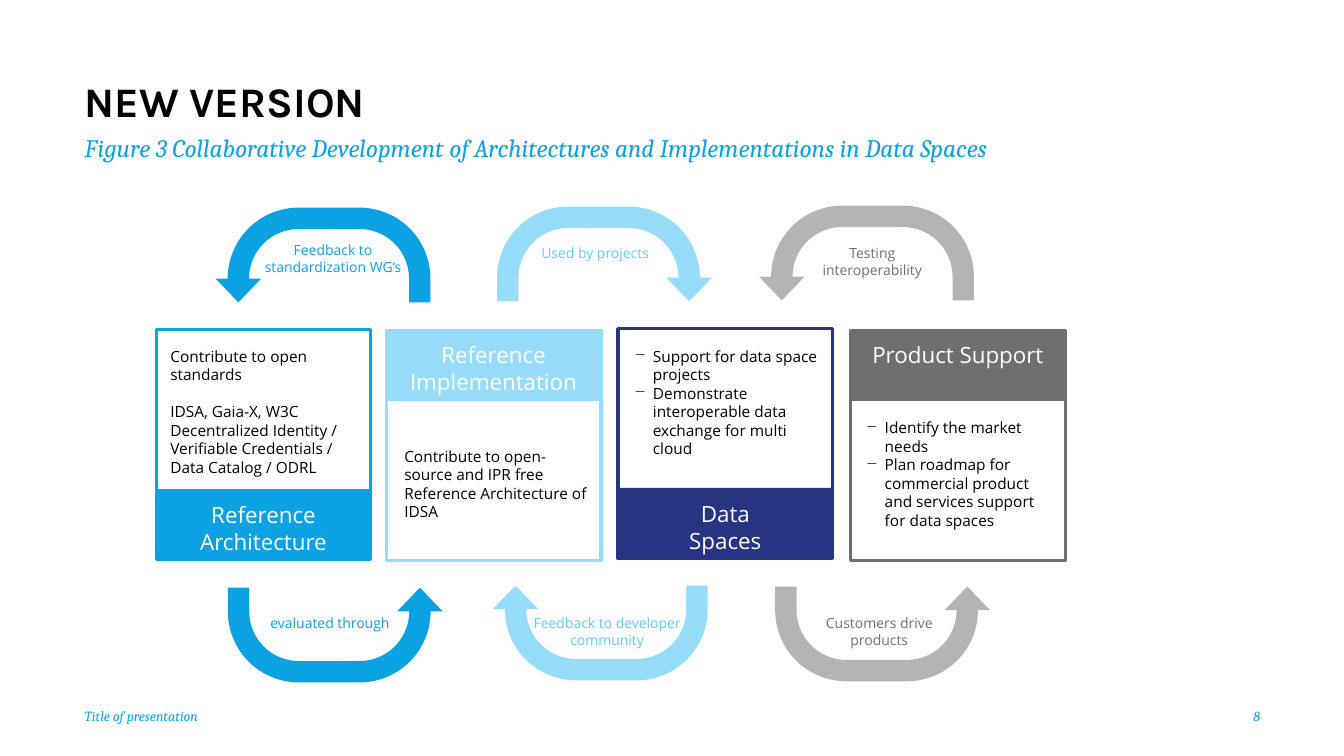
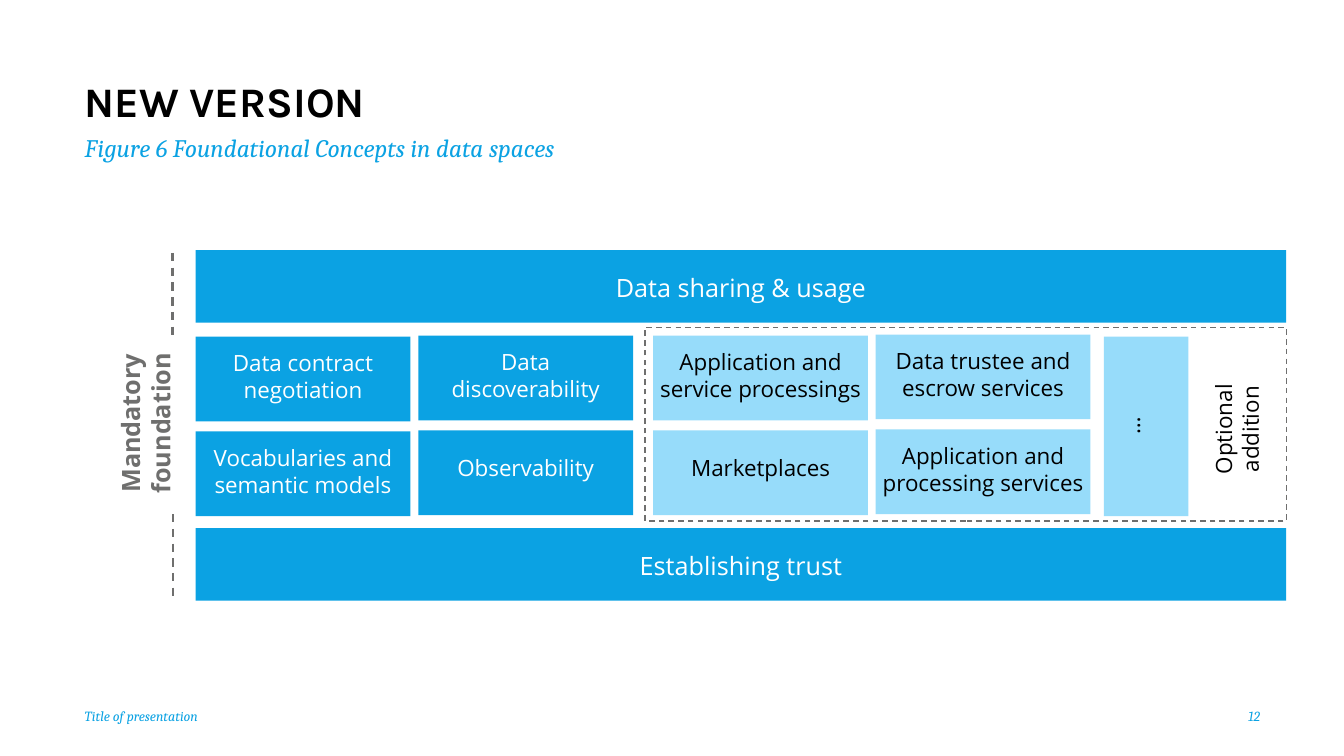
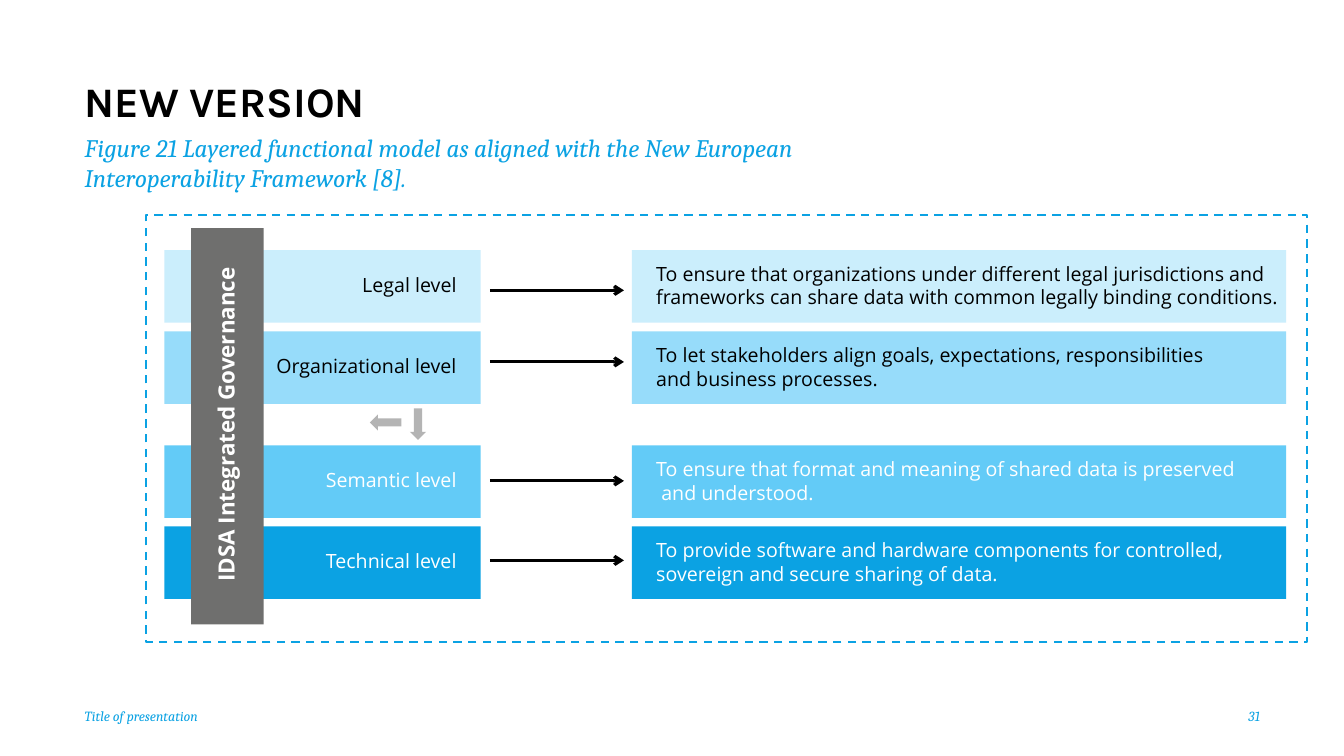
from lxml import etree
from pptx import Presentation
from pptx.dml.color import RGBColor
from pptx.enum.dml import MSO_LINE
from pptx.enum.shapes import MSO_CONNECTOR, MSO_SHAPE
from pptx.enum.text import MSO_ANCHOR, PP_ALIGN
from pptx.oxml.ns import qn
from pptx.util import Pt

RECT, UTURN, ARROW = MSO_SHAPE.RECTANGLE, MSO_SHAPE.U_TURN_ARROW, MSO_SHAPE.RIGHT_ARROW
LEFT, MID, RIGHT = PP_ALIGN.LEFT, PP_ALIGN.CENTER, PP_ALIGN.RIGHT
TOP, CENTER, BOTTOM = MSO_ANCHOR.TOP, MSO_ANCHOR.MIDDLE, MSO_ANCHOR.BOTTOM
STRAIGHT, DASH = MSO_CONNECTOR.STRAIGHT, MSO_LINE.DASH

HUES = {
    "blue": "0BA2E3", "sky": "63CBF7", "light": "97DCFA", "pale": "CBEEFC",
    "navy": "263482", "dark": "6F6F6E", "gray": "B4B4B4",
    "black": "000000", "white": "FFFFFF",
}
SANS = {"name": "Open Sans"}
STYLES = {
    "title": {"name": "Karla", "size": Pt(30), "bold": True},
    "lead": {"name": "Cambria", "size": Pt(18), "italic": True},
    "foot": {"name": "Cambria", "size": Pt(10), "italic": True},
    "note": {**SANS, "size": Pt(10)},
    "body": {**SANS, "size": Pt(11)},
    "level": {**SANS, "size": Pt(14)},
    "head": {**SANS, "size": Pt(16)},
    "spine": {**SANS, "size": Pt(16), "bold": True},
    "bar": {**SANS, "size": Pt(18)},
    "side": {**SANS, "size": Pt(18), "bold": True},
}


def hue(name):
    return RGBColor.from_string(HUES[name])


def points(box):
    return [Pt(v) for v in box]


def bullet(para):
    props = para._p.get_or_add_pPr()
    props.set("marL", str(Pt(13.5)))
    props.set("indent", str(-Pt(13.5)))
    etree.SubElement(props, qn("a:buChar")).set("char", "−")


def text(slide, box, lines, style, color, align=LEFT, anchor=TOP,
         turn=0, foot=0, gap=0, dashed=False, pitch=None):
    """Place one paragraph per line; gap is the space between paragraphs."""
    shape = slide.shapes.add_textbox(*points(box))
    shape.rotation = turn
    frame = shape.text_frame
    layout = {"word_wrap": True, "vertical_anchor": anchor, "margin_left": 0,
              "margin_top": 0, "margin_right": 0, "margin_bottom": Pt(foot)}
    for key, value in layout.items():
        setattr(frame, key, value)
    for i, line in enumerate(lines):
        para = frame.add_paragraph() if i else frame.paragraphs[0]
        para.alignment = align
        if pitch:
            para.line_spacing = pitch
        if i and gap:
            para.space_before = Pt(gap)
        if dashed:
            bullet(para)
        run = para.add_run()
        run.text = line
        for key, value in STYLES[style].items():
            setattr(run.font, key, value)
        run.font.color.rgb = hue(color)


def solid(slide, box, color, kind=RECT, turn=0):
    shape = slide.shapes.add_shape(kind, *points(box))
    shape.shadow.inherit = False
    shape.rotation = turn
    shape.fill.solid()
    shape.fill.fore_color.rgb = hue(color)
    shape.line.fill.background()
    return shape


def outline(slide, box, color, width, dash=None):
    shape = slide.shapes.add_shape(RECT, *points(box))
    shape.shadow.inherit = False
    shape.fill.background()
    shape.line.color.rgb = hue(color)
    shape.line.width = Pt(width)
    if dash:
        shape.line.dash_style = dash


def rule(slide, ends, color, width, dash=None, tip=False):
    line = slide.shapes.add_connector(STRAIGHT, *points(ends))
    line.line.color.rgb = hue(color)
    line.line.width = Pt(width)
    if dash:
        line.line.dash_style = dash
    if tip:
        etree.SubElement(line.line._ln, qn("a:tailEnd")).set("type", "arrow")
    etree.SubElement(line._element.spPr, qn("a:effectLst"))


def page(deck, number, lead, width=623.5):
    """Add a slide with the shared title, lead line and footer."""
    slide = deck.slides.add_slide(deck.slide_layouts[6])
    text(slide, (60.5, 502.5, 516, 17.5), ["Title of presentation"],
         "foot", "blue", anchor=CENTER)
    text(slide, (849, 502.5, 51, 17.5), [number], "foot", "blue", RIGHT, CENTER)
    text(slide, (60.5, 94.5, width, 28), [lead], "lead", "blue")
    text(slide, (60.5, 21, 623.5, 73.5), ["NEW VERSION"], "title", "black",
         anchor=BOTTOM, foot=4.3, pitch=0.9)
    return slide


def card(slide, left, top, color, high, head, lines, inset, form):
    """Draw a framed card whose head band is at the top if high, else below."""
    wide, tall, band = 153.5, 164.3, 51
    edge = top - 0.7 if high else top + tall - band + 0.5
    solid(slide, (left, edge, wide, band), color)
    outline(slide, (left, top, wide, tall), color, 2.25)
    text(slide, (left + 11.5, edge + 8.6, 130.5, 34), head, "head", "white", MID)
    dx, dy = inset
    text(slide, (left + dx, top + dy, 133, 89), lines, "body", "black", **form)


def loop(slide, left, top, flips, color, label, spot, ink):
    arrow = solid(slide, (left, top, 153.5, 67.7), color, UTURN)
    for i, value in enumerate((0.226, 0.24, 0.25, 0.75, 1)):
        arrow.adjustments[i] = value
    for axis in flips:
        arrow._element.spPr.xfrm.set("flip" + axis, "1")
    dx, dy = spot
    text(slide, (left + dx, top + dy, 133, 16 * len(label)), label, "note", ink, MID)


def flow(deck):
    slide = page(deck, "8", "Figure 3 Collaborative Development of Architectures "
                 "and Implementations in Data Spaces", 737.5)
    cards = [
        (111.5, 235.5, "blue", False, ["Reference", "Architecture"],
         ["Contribute to open standards",
          "IDSA, Gaia-X, W3C Decentralized Identity / Verifiable Credentials / "
          "Data Catalog / ODRL"], (10.2, 12.2), {"gap": 13.3}),
        (275.8, 236, "light", True, ["Reference", "Implementation"],
         ["Contribute to open-source and IPR free Reference Architecture of IDSA"],
         (13, 83.3), {}),
        (441.4, 234.7, "navy", False, ["Data", "Spaces"],
         ["Support for data space projects",
          "Demonstrate interoperable data exchange for multi cloud"],
         (11.5, 13), {"dashed": True}),
        (607.5, 236, "dark", True, ["Product Support"],
         ["Identify the market needs",
          "Plan roadmap for commercial product and services support for data spaces"],
         (11, 62.8), {"dashed": True}),
    ]
    for item in cards:
        card(slide, *item)
    loops = [
        (154, 148.3, "H", "blue", ["Feedback to", "standardization WG‘s"],
         (17.4, 24.5), "blue"),
        (355, 147.6, "", "light", ["Used by projects"], (3.6, 27.4), "sky"),
        (542.2, 146.9, "H", "gray", ["Testing", "interoperability"],
         (14.4, 28), "dark"),
        (162.7, 419.8, "V", "blue", ["evaluated through"], (6.5, 19.4), "blue"),
        (352, 418.3, "HV", "light", ["Feedback to developer community"],
         (15.2, 20.9), "sky"),
        (553.7, 419, "V", "gray", ["Customers drive", "products"],
         (7.9, 20.2), "dark"),
    ]
    for item in loops:
        loop(slide, *item)


def bar(slide, top, label):
    solid(slide, (139.7, top, 779, 51.8), "blue")
    text(slide, (360.7, top + 15.8, 337, 20), [label], "bar", "white", MID)


def tile(slide, left, top, color, ink, label, room):
    """Draw a tile with its label centred in a text box as wide as room."""
    wide, tall = 153.4, 60.5
    solid(slide, (left, top, wide, tall), color)
    drop = 16.6 if label in ("Observability", "Marketplaces") else 9
    lines = label.split("\n")
    text(slide, (left + (wide - room) / 2, top + drop, room, 20), lines,
         "head", ink, MID)


def base(deck):
    slide = page(deck, "12", "Figure 6 Foundational Concepts in data spaces")
    bar(slide, 178.6, "Data sharing & usage")
    bar(slide, 377.3, "Establishing trust")
    must, extra = ("blue", "white", 130.3), ("light", "black", 147)
    columns = [
        (139.7, 240.5, must,
         ["Data contract\nnegotiation", "Vocabularies and semantic models"]),
        (298.8, 239.8, must, ["Data discoverability", "Observability"]),
        (466.6, 239.8, extra,
         ["Application and service processings", "Marketplaces"]),
        (625.5, 239, extra,
         ["Data trustee and escrow services", "Application and processing services"]),
    ]
    for left, top, (color, ink, room), labels in columns:
        for row, label in enumerate(labels):
            tile(slide, left, top + row * 67.7, color, ink, label, room)
    solid(slide, (754.6, 274.3, 128.2, 60.5), "light", turn=270)
    sides = [
        ((735, 293.8, 147, 20), ["…"], "head", "black"),
        ((800.6, 296.6, 147, 20), ["Optional", "addition"], "head", "black"),
        ((31, 292.3, 122.4, 20), ["Mandatory", "foundation"], "side", "dark"),
    ]
    for item in sides:
        text(slide, *item, align=MID, turn=270)
    outline(slide, (460.8, 234, 458, 138.2), "dark", 1, DASH)
    for x, y in ((123.2, 180.7), (123.8, 367.2)):
        rule(slide, (x, y, x, y + 61.2), "dark", 1.5, DASH)


def layer(slide, top, level, goal, color, ink, aim):
    """Draw a level and its goal, with an arrow between them at height aim."""
    solid(slide, (451.4, top, 467.3, 51.8), color)
    text(slide, (468.7, top + 8.4, 450, 39.6), goal, "level", ink)
    solid(slide, (117.4, top, 226, 51.8), color)
    text(slide, (196.6, top + 16, 129.6, 26), [level], "level", ink, RIGHT)
    rule(slide, (350, aim, 445.7, aim), "black", 2.25, tip=True)


def model(deck):
    slide = page(deck, "31", "Figure 21 Layered functional model as aligned with "
                 "the New European Interoperability Framework [8].")
    layers = [
        (178.6, "Legal level",
         ["To ensure that organizations under different legal jurisdictions and "
          "frameworks can share data with common legally binding conditions."],
         "pale", "black", 207.4),
        (236.7, "Organizational level",
         ["To let stakeholders align goals, expectations, responsibilities",
          "and business processes."], "light", "black", 258.5),
        (318.2, "Semantic level",
         ["To ensure that format and meaning of shared data is preserved",
          " and understood."], "sky", "white", 343.5),
        (376, "Technical level",
         ["To provide software and hardware components for controlled, "
          "sovereign and secure sharing of data."], "blue", "white", 400.3),
    ]
    for item in layers:
        layer(slide, *item)
    solid(slide, (20.9, 278.6, 283, 51.8), "dark", turn=270)
    text(slide, (45.4, 290.2, 238.3, 26), ["IDSA Integrated Governance"],
         "spine", "white", MID, turn=270)
    outline(slide, (104.4, 153.4, 829.4, 305.3), "blue", 1.5, DASH)
    for left, top, turn in ((287.3, 297.2, 90), (264.2, 296, 180)):
        solid(slide, (left, top, 22.5, 11.5), "gray", ARROW, turn)


def main():
    deck = Presentation()
    deck.slide_width, deck.slide_height = Pt(960), Pt(540)
    for build in (flow, base, model):
        build(deck)
    deck.save("out.pptx")


if __name__ == "__main__":
    main()
